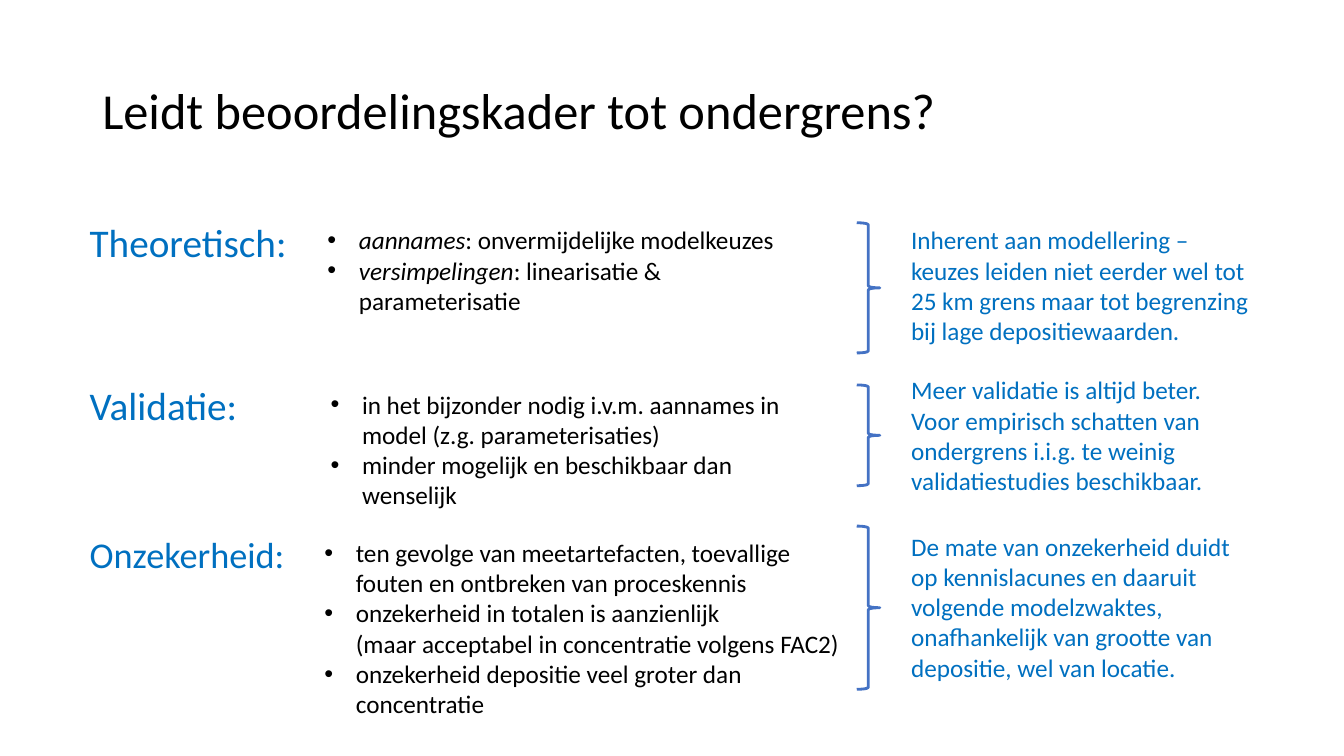
from dataclasses import dataclass

import pptx
import pptx.dml.color
import pptx.enum.shapes
import pptx.enum.text
import pptx.oxml
import pptx.oxml.ns
import pptx.util

Pt = pptx.util.Pt
Color = pptx.dml.color.RGBColor


@dataclass(frozen=True)
class Theme:
    font: str = "Calibri"
    ink: Color = Color(0x00, 0x00, 0x00)
    blue: Color = Color(0x00, 0x70, 0xC0)
    line: Color = Color(0x44, 0x72, 0xC4)
    title: float = 36
    label: float = 28
    tight: float = 25.9
    body: float = 18
    brace: float = 2
    indent: float = 22.5


THEME = Theme()
LABEL_X, BRACE_X, NOTE_X = 57, 612, 643.7

# Each row: label (text, top, height, size, spacing), list (box, items),
# brace (top, height), note (top, width, height, text)
ROWS = [
    (("Theoretisch:", 156.2, 42.5, THEME.label, 0.9),
     ((226.8, 157, 355, 72.7),
      [("aannames", ": onvermijdelijke modelkeuzes"),
       ("versimpelingen", ": linearisatie & parameterisatie")]),
     (159.1, 93),
     (157, 263, 94.5,
      "Inherent aan modellering – keuzes leiden niet eerder wel tot 25 km "
      "grens maar tot begrenzing bij lage depositiewaarden.")),
    (("Validatie:", 275, 35.3, THEME.label, 0.8),
     ((229, 274.3, 353, 94.5),
      [("", "in het bijzonder nodig i.v.m. aannames in model "
            "(z.g. parameterisaties)"),
       ("", "minder mogelijk en beschikbaar dan wenselijk")]),
     (275, 72),
     (264.2, 263, 94.5,
      "Meer validatie is altijd beter.\vVoor empirisch schatten van "
      "ondergrens i.i.g. te weinig validatiestudies beschikbaar.")),
    (("Onzekerheid:", 380.2, 42.5, THEME.tight, 0.9),
     ((224.6, 380.2, 387.4, 138),
      [("", "ten gevolge van meetartefacten, toevallige fouten en "
            "ontbreken van proceskennis"),
       ("", "onzekerheid in totalen is aanzienlijk \v"
            "(maar acceptabel in concentratie volgens FAC2)"),
       ("", "onzekerheid depositie veel groter dan concentratie")]),
     (375.8, 116.6),
     (375.8, 245.5, 116.6,
      "De mate van onzekerheid duidt op kennislacunes en daaruit volgende "
      "modelzwaktes, onafhankelijk van grootte van depositie, wel van "
      "locatie.")),
]


def add_frame(slide, box):
    frame = slide.shapes.add_textbox(*map(Pt, box)).text_frame
    frame.word_wrap = True
    return frame


def style(para, size, color):
    for run in para.runs:
        run.font.name = THEME.font
        run.font.size = Pt(size)
        run.font.color.rgb = color


def add_text(slide, box, text, size, color, spacing=1.0):
    frame = add_frame(slide, box)
    para = frame.paragraphs[0]
    para.text = text
    para.line_spacing = spacing
    style(para, size, color)
    return frame


def add_bullet(para):
    props = para._p.get_or_add_pPr()
    props.set("marL", str(Pt(THEME.indent)))
    props.set("indent", str(-Pt(THEME.indent)))
    for tag, key, value in (("a:buFont", "typeface", "Arial"),
                            ("a:buChar", "char", "•")):
        mark = pptx.oxml.ns.qn(tag)
        node = props.makeelement(mark, {key: value})
        props.append(node)


def add_list(slide, box, items):
    """Add bullets, each with an optional italic lead term."""
    frame = add_frame(slide, box)
    for index, (term, rest) in enumerate(items):
        para = frame.add_paragraph() if index else frame.paragraphs[0]
        para.text = term or rest
        if term:
            para.runs[0].font.italic = True
            para.add_run().text = rest
        style(para, THEME.body, THEME.ink)
        add_bullet(para)


def add_brace(slide, top, height):
    kind = pptx.enum.shapes.MSO_SHAPE.RIGHT_BRACE
    brace = slide.shapes.add_shape(
        kind, Pt(BRACE_X), Pt(top), Pt(16.5), Pt(height))
    brace.shadow.inherit = False
    brace.fill.background()
    brace.line.color.rgb = THEME.line
    brace.line.width = Pt(THEME.brace)


def main():
    deck = pptx.Presentation()
    deck.slide_width, deck.slide_height = Pt(960), Pt(540)
    slide = deck.slides.add_slide(deck.slide_layouts[6])

    title = add_text(slide, (66, 28.8, 828, 104.4),
                     "Leidt beoordelingskader tot ondergrens?",
                     THEME.title, THEME.ink, 0.9)
    title.vertical_anchor = pptx.enum.text.MSO_ANCHOR.MIDDLE

    for label, points, brace, note in ROWS:
        text, top, height, size, spacing = label
        add_text(slide, (LABEL_X, top, 160.5, height), text, size,
                 THEME.blue, spacing)
        add_list(slide, *points)
        add_brace(slide, *brace)
        top, width, height, text = note
        add_text(slide, (NOTE_X, top, width, height), text, THEME.body,
                 THEME.blue)

    deck.save("out.pptx")


if __name__ == "__main__":
    main()
